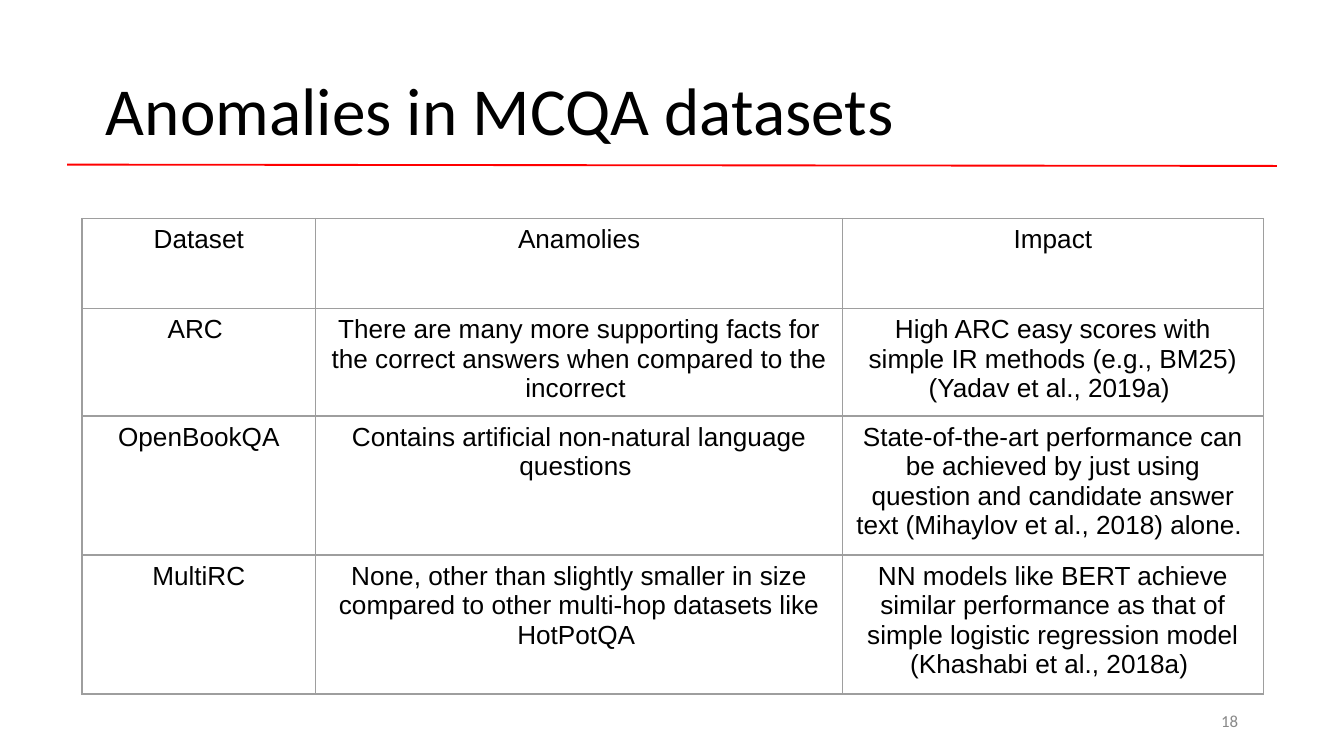
from lxml.etree import SubElement
from pptx import Presentation
from pptx.dml.color import RGBColor
from pptx.enum.shapes import MSO_CONNECTOR as Connector
from pptx.enum.text import MSO_ANCHOR as Anchor, PP_ALIGN as Align
from pptx.oxml.ns import qn
from pptx.util import Emu, Pt

PX = 4572
COLORS = {"text": "000000", "rule": "FF0000", "number": "888888", "border": "9E9E9E"}
COLUMN_WIDTHS = (348, 784, 626)
ROW_HEIGHTS = (134, 150, 194, 194)
ANOMALIES = [
    ("Dataset", "Anamolies", "Impact"),
    ("ARC ",
     "There are many more supporting facts for the correct answers when compared to the incorrect ",
     "High ARC easy scores with simple IR methods (e.g., BM25) (Yadav et al., 2019a) "),
    ("OpenBookQA",
     "Contains artificial non-natural language questions ",
     "State-of-the-art performance can be achieved by just using question and "
     "candidate answer text (Mihaylov et al., 2018) alone. "),
    ("MultiRC",
     "None, other than slightly smaller in size compared to other multi-hop datasets like HotPotQA ",
     "NN models like BERT achieve similar performance as that of simple logistic "
     "regression model (Khashabi et al., 2018a) "),
]


def px(length):
    """Turn px into EMU."""
    return Emu(length * PX)


def write(frame, text, font, size, color, align):
    """Fill a text frame with one formatted paragraph."""
    frame.text = text
    frame.word_wrap = True
    paragraph = frame.paragraphs[0]
    paragraph.alignment = align
    for run in paragraph.runs:
        run.font.name = font
        run.font.size = Pt(size)
        run.font.color.rgb = RGBColor.from_string(COLORS[color])
    return paragraph


def add_label(slide, box, text, size, color, align):
    """Add a vertically centred text box."""
    label = slide.shapes.add_textbox(*map(px, box))
    label.text_frame.vertical_anchor = Anchor.MIDDLE
    return write(label.text_frame, text, "Calibri", size, color, align)


def add_header(slide, box, title):
    """Place the title and the red rule that crosses the header box."""
    left, top, width, height = box
    rule = slide.shapes.add_connector(
        Connector.STRAIGHT, px(left), px(top + 185), px(left + width), px(top + 187))
    rule.line.color.rgb = RGBColor.from_string(COLORS["rule"])
    rule.line.width = Pt(1)
    SubElement(rule._element.spPr, qn("a:effectLst"))
    heading = add_label(slide, (left + 38, top, width - 76, height), title, 36, "text", Align.LEFT)
    heading.line_spacing = 0.9


def add_borders(cell):
    """Draw thin grey lines on all four sides of a cell."""
    properties = cell._tc.get_or_add_tcPr()
    for position, side in enumerate(("a:lnL", "a:lnR", "a:lnT", "a:lnB")):
        border = SubElement(properties, qn(side), w=str(Pt(0.75)))
        fill = SubElement(border, qn("a:solidFill"))
        SubElement(fill, qn("a:srgbClr"), val=COLORS["border"])
        properties.insert(position, border)


def add_anomaly_table(slide, box, rows):
    """Place the table of datasets, anomalies and impacts."""
    table = slide.shapes.add_table(len(rows), len(COLUMN_WIDTHS), *map(px, box)).table
    table.first_row = table.horz_banding = False
    for column, width in zip(table.columns, COLUMN_WIDTHS):
        column.width = px(width)
    for row, height, texts in zip(table.rows, ROW_HEIGHTS, rows):
        row.height = px(height)
        for cell, text in zip(row.cells, texts):
            cell.fill.background()
            add_borders(cell)
            write(cell.text_frame, text, "Arial", 14, "text", Align.CENTER)


def main():
    """Build and save the slide."""
    deck = Presentation()
    deck.slide_width, deck.slide_height = px(2000), px(1125)
    slide = deck.slides.add_slide(deck.slide_layouts[6])
    add_header(slide, (100, 60, 1800, 218), "Anomalies in MCQA datasets")
    add_label(slide, (1412, 1042, 450, 60), "18", 9, "number", Align.RIGHT)
    add_anomaly_table(slide, (122, 325, sum(COLUMN_WIDTHS), sum(ROW_HEIGHTS)), ANOMALIES)
    deck.save("out.pptx")


if __name__ == "__main__":
    main()
